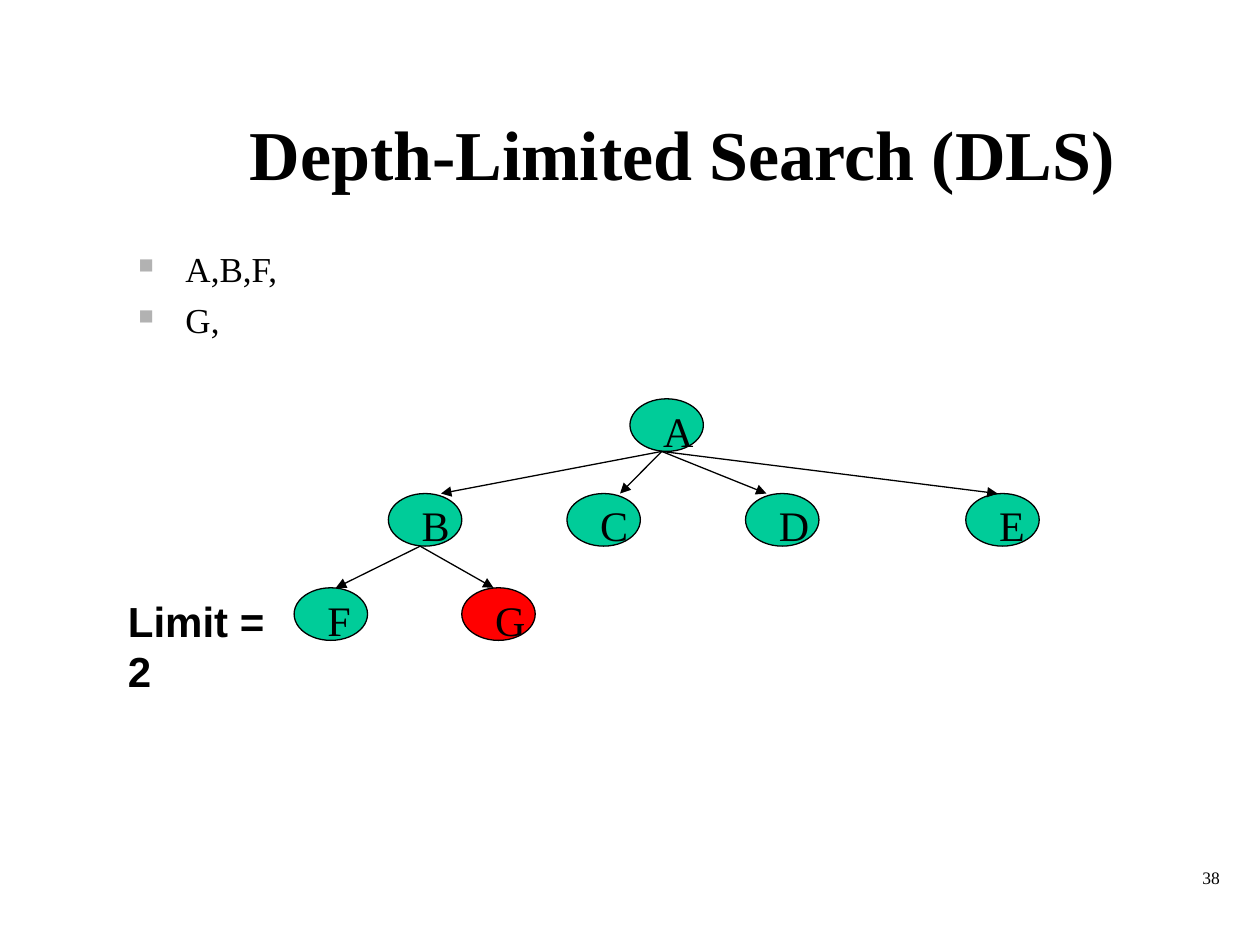
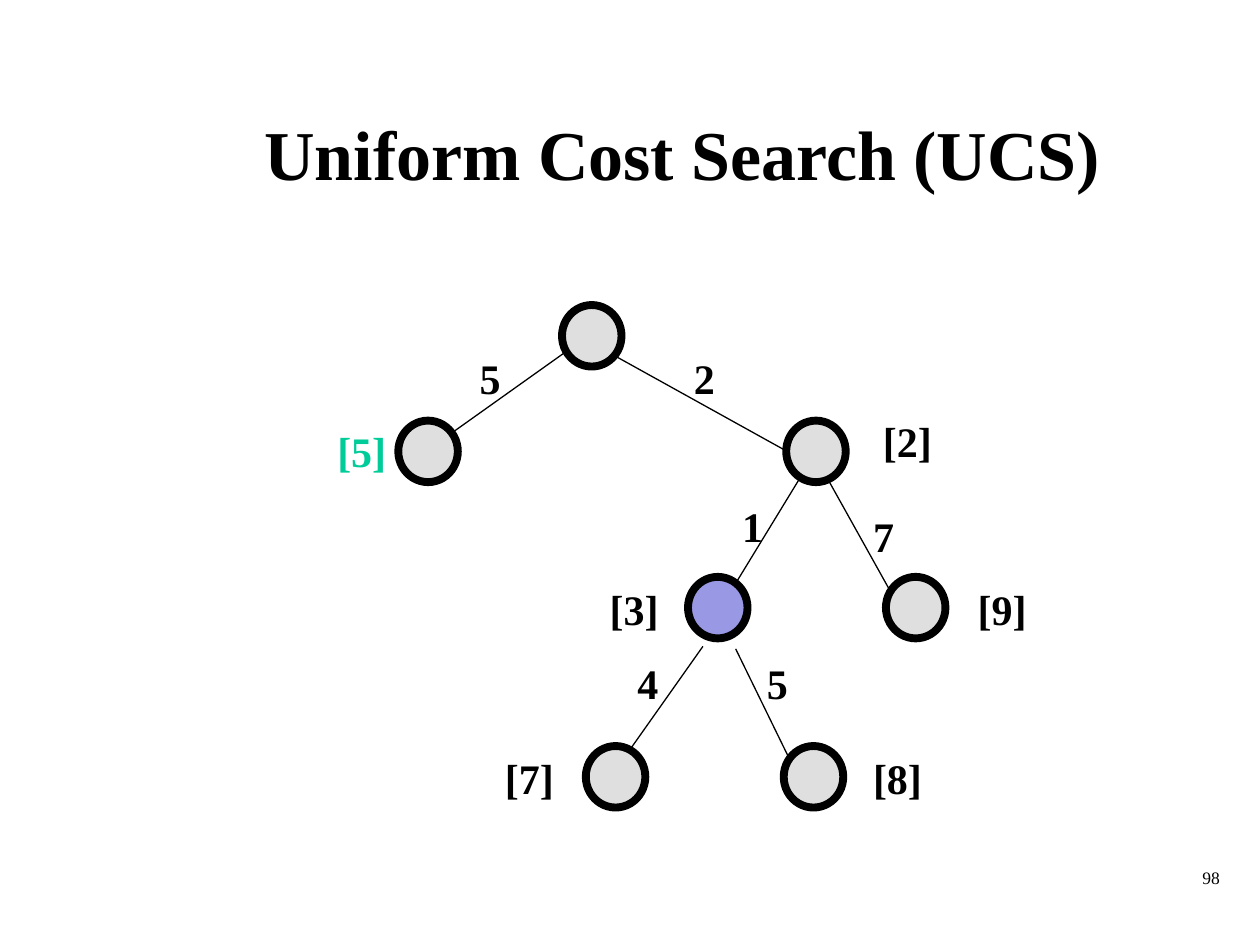
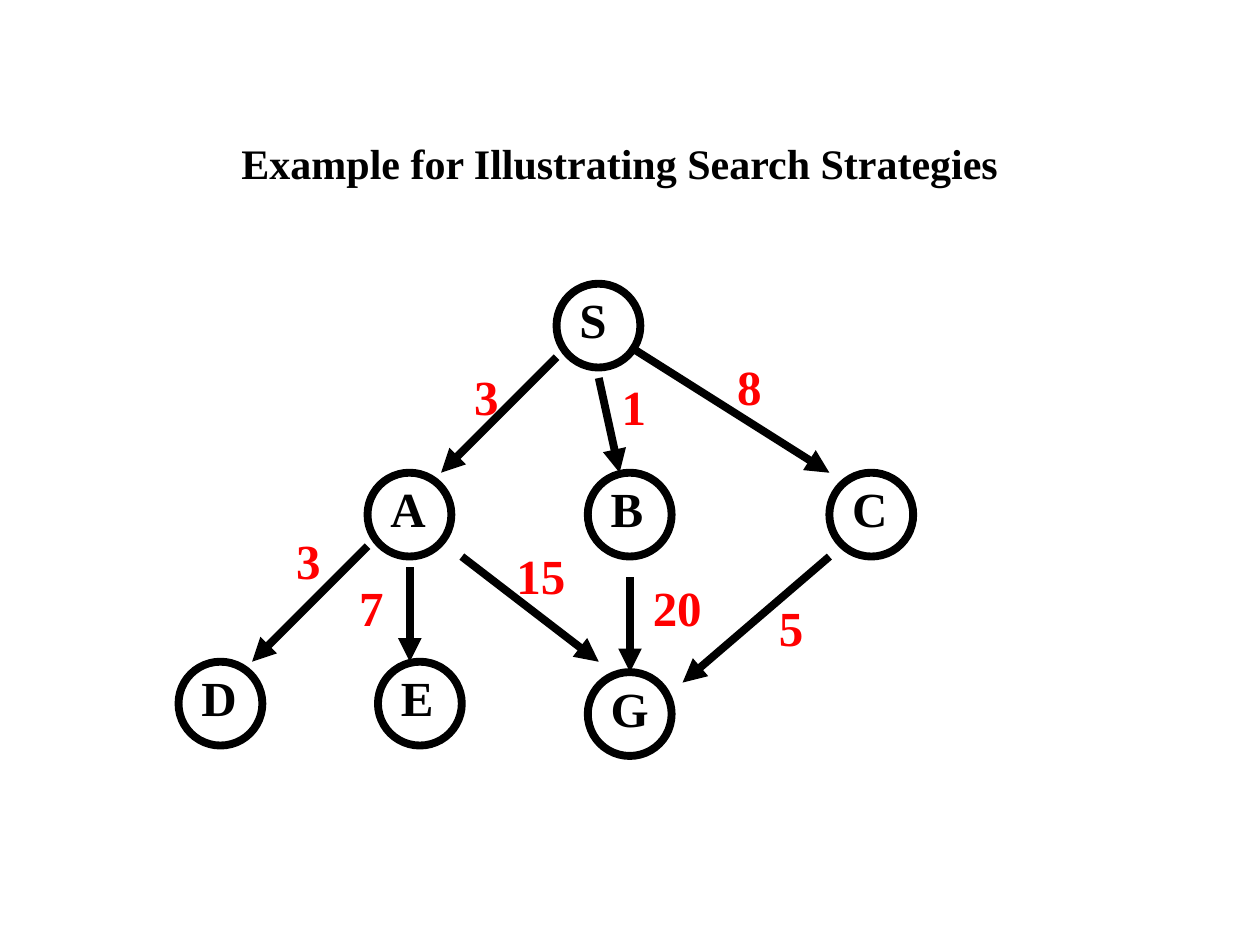
"""Build three slides of search trees: depth-limited, uniform cost and an example graph."""
from dataclasses import dataclass

from lxml.etree import SubElement as Sub
from pptx import Presentation
from pptx.dml.color import RGBColor as Rgb
from pptx.enum.shapes import MSO_CONNECTOR as Conn, MSO_SHAPE as Form
from pptx.enum.text import MSO_ANCHOR as Anchor, MSO_AUTO_SIZE as Auto, PP_ALIGN as Align
from pptx.oxml.ns import qn
from pptx.slide import Slide
from pptx.util import Cm, Pt

HUES = {
    "ink": "000000",
    "green": "00CC99",
    "red": "FF0000",
    "grey": "C0C0C0",
    "blue": "3333CC",
    "mark": "B2B2B2",
}
SERIF, SANS = "Times New Roman", "Arial"


@dataclass(frozen=True)
class Style:
    size: float
    bold: bool = True
    hue: str = "ink"
    font: str = SERIF
    align: Align = Align.LEFT
    anchor: Anchor = Anchor.TOP
    wrap: bool = True
    grow: bool = False


@dataclass(frozen=True)
class Box:
    x: float
    y: float
    w: float
    h: float


@dataclass(frozen=True)
class Look:
    w: float
    h: float
    line: float
    clear: bool = False


@dataclass(frozen=True)
class Node:
    x: float
    y: float
    fill: str = ""
    name: str = ""
    wide: float = 1.06


@dataclass(frozen=True)
class Edge:
    x: float
    y: float
    to_x: float
    to_y: float


@dataclass(frozen=True)
class Label:
    text: str
    x: float
    y: float
    hue: str = "ink"


TITLE = Style(40, align=Align.CENTER, anchor=Anchor.MIDDLE)
SMALL = Style(24, align=Align.CENTER, anchor=Anchor.MIDDLE)
FOOT = Style(10, bold=False, align=Align.RIGHT)
ITEM = Style(20, bold=False)
LIMIT = Style(24, font=SANS, grow=True)
NAME = Style(24, bold=False, grow=True)
HEAD = Box(2.96, 1.48, 21.59, 3.18)


def color(key: str) -> Rgb:
    return Rgb.from_string(HUES[key])


def write(slide: Slide, box: Box, lines: list[str], style: Style, mark: bool = False) -> None:
    frame = slide.shapes.add_textbox(Cm(box.x), Cm(box.y), Cm(box.w), Cm(box.h)).text_frame
    frame.word_wrap = style.wrap
    frame.vertical_anchor = style.anchor
    frame.auto_size = Auto.SHAPE_TO_FIT_TEXT if style.grow else Auto.NONE
    for i, line in enumerate(lines):
        para = frame.paragraphs[0] if i == 0 else frame.add_paragraph()
        para.alignment = style.align
        if mark:
            para.space_after = Pt(5)
            bullet(para._p.get_or_add_pPr())
        run = para.add_run()
        run.text = line
        run.font.name = style.font
        run.font.size = Pt(style.size)
        run.font.bold = style.bold
        run.font.color.rgb = color(style.hue)


def bullet(props) -> None:
    props.set("marL", str(Cm(0.95)))
    props.set("indent", str(-Cm(0.95)))
    Sub(Sub(props, qn("a:buClr")), qn("a:srgbClr"), val=HUES["mark"])
    Sub(props, qn("a:buSzPct"), val="60000")
    Sub(props, qn("a:buChar"), char="■")


def draw_node(slide: Slide, node: Node, look: Look) -> None:
    oval = slide.shapes.add_shape(Form.OVAL, Cm(node.x), Cm(node.y), Cm(look.w), Cm(look.h))
    oval.shadow.inherit = False
    oval.line.color.rgb = color("ink")
    oval.line.width = Pt(look.line)
    if not node.fill:
        oval.fill.background()
        return
    oval.fill.solid()
    oval.fill.fore_color.rgb = color(node.fill)
    if look.clear:
        tone = oval._element.spPr.find(qn("a:solidFill")).find(qn("a:srgbClr"))
        Sub(tone, qn("a:alpha"), val="50000")


def draw_edge(slide: Slide, edge: Edge, width: float, arrow: bool) -> None:
    line = slide.shapes.add_connector(
        Conn.STRAIGHT, Cm(edge.x), Cm(edge.y), Cm(edge.to_x), Cm(edge.to_y))
    line.line.color.rgb = color("ink")
    line.line.width = Pt(width)
    if arrow:
        Sub(line.line._get_or_add_ln(), qn("a:tailEnd"), type="triangle")
    Sub(line._element.spPr, qn("a:effectLst"))


def draw_tree(slide: Slide, nodes: list[Node], look: Look, edges: list[Edge],
              width: float, arrow: bool = True) -> None:
    for node in nodes:
        draw_node(slide, node, look)
    for edge in edges:
        draw_edge(slide, edge, width, arrow)


def draw_names(slide: Slide, nodes: list[Node], shift: float, high: float, style: Style) -> None:
    for node in nodes:
        write(slide, Box(node.x + shift, node.y, node.wide, high), [node.name], style)


def draw_labels(slide: Slide, labels: list[Label], size: float, high: float,
                wides: dict[int, float]) -> None:
    for tag in labels:
        style = Style(size, hue=tag.hue, wrap=False, grow=True)
        write(slide, Box(tag.x, tag.y, wides[len(tag.text)], high), [tag.text], style)


def add_foot(slide: Slide, num: str) -> None:
    write(slide, Box(19.56, 17.35, 5.28, 1.27), [num], FOOT)


def depth(slide: Slide) -> None:
    add_foot(slide, "38")
    write(slide, HEAD, ["Depth-Limited Search (DLS)"], TITLE)
    write(slide, Box(2.54, 4.87, 21.59, 2.34), ["A,B,F,", "G,"], ITEM, mark=True)
    row = [Node(x, 9.95, "green", name)
           for x, name in ((7.83, "B"), (11.43, "C"), (15.03, "D"), (19.47, "E"))]
    nodes = [Node(12.7, 8.04, "green", "A"), *row,
             Node(5.93, 11.85, "green", "F"), Node(9.31, 11.85, "red", "G")]
    edges = [Edge(13.34, 9.1, x, 9.95) for x in (8.89, 12.5, 15.45, 20.11)]
    edges += [Edge(8.47, 11.01, x, 11.85) for x in (6.77, 9.95)]
    draw_tree(slide, nodes, Look(1.48, 1.06, 0.75), edges, 0.75)
    draw_names(slide, nodes, 0.42, 1.02, NAME)
    write(slide, Box(2.33, 11.88, 3.39, 1.02), ["Limit = 2"], LIMIT)


def cost(slide: Slide) -> None:
    add_foot(slide, "98")
    write(slide, HEAD, ["Uniform Cost Search (UCS)"], TITLE)
    spots = ((11.33, 6.15), (8.03, 8.48), (15.85, 8.48),
             (17.86, 11.63), (15.8, 15.04), (11.81, 15.04))
    nodes = [Node(x, y, "grey") for x, y in spots] + [Node(13.87, 11.63, "blue")]
    edges = [
        Edge(11.38, 7.11, 9.09, 8.74),
        Edge(12.37, 7.16, 15.85, 9.09),
        Edge(16.13, 9.63, 14.83, 11.76),
        Edge(16.71, 9.7, 17.96, 11.94),
        Edge(14.17, 13.03, 12.7, 15.11),
        Edge(14.83, 13.08, 15.9, 15.27),
    ]
    draw_tree(slide, nodes, Look(1.2, 1.24, 4.5, clear=True), edges, 0.75, arrow=False)
    labels = [
        Label("2", 13.74, 6.99),
        Label("5", 9.42, 6.99),
        Label("1", 14.71, 9.96),
        Label("7", 17.35, 10.16),
        Label("4", 12.6, 13.13),
        Label("5", 15.21, 13.13),
        Label("[5]", 6.55, 8.46, "green"),
        Label("[2]", 17.55, 8.26),
        Label("[9]", 19.46, 11.63),
        Label("[3]", 12.04, 11.63),
        Label("[7]", 9.93, 15.04),
        Label("[8]", 17.35, 15.04),
    ]
    draw_labels(slide, labels, 24, 1.27, {1: 0.94, 3: 1.5})


def graph(slide: Slide) -> None:
    write(slide, Box(1.7, 1.7, HEAD.w, HEAD.h),
          ["Example for Illustrating Search Strategies"], SMALL)
    nodes = [
        Node(11.22, 5.72, name="S", wide=1.07),
        Node(7.41, 9.53, name="A", wide=1.22),
        Node(11.85, 9.53, name="B", wide=1.17),
        Node(16.72, 9.53, name="C", wide=1.22),
        Node(3.6, 13.34, name="D", wide=1.22),
        Node(7.62, 13.34, name="E", wide=1.17),
        Node(11.85, 13.55, name="G", wide=1.27),
    ]
    edges = [
        Edge(11.22, 7.2, 8.89, 9.53),
        Edge(12.07, 7.62, 12.49, 9.53),
        Edge(12.7, 6.99, 16.72, 9.53),
        Edge(7.41, 11.01, 5.08, 13.34),
        Edge(8.26, 11.43, 8.26, 13.34),
        Edge(9.31, 11.22, 12.07, 13.34),
        Edge(12.7, 11.64, 12.7, 13.55),
        Edge(16.72, 11.22, 13.76, 13.76),
    ]
    draw_tree(slide, nodes, Look(1.69, 1.69, 4.5), edges, 4.5)
    draw_names(slide, nodes, 0.21, 1.45, Style(28, wrap=False, grow=True))
    costs = (("3", 9.31, 7.26), ("1", 12.28, 7.47), ("8", 14.61, 7.06), ("3", 5.72, 10.58),
             ("7", 6.99, 11.51), ("15", 10.16, 10.88), ("20", 12.91, 11.51), ("5", 15.45, 11.92))
    labels = [Label(text, x, y, "red") for text, x, y in costs]
    draw_labels(slide, labels, 28, 1.45, {1: 1.02, 2: 1.5})


def main() -> None:
    deck = Presentation()
    deck.slide_width, deck.slide_height = Cm(25.4), Cm(19.05)
    for draw in (depth, cost, graph):
        draw(deck.slides.add_slide(deck.slide_layouts[6]))
    deck.save("out.pptx")


if __name__ == "__main__":
    main()
